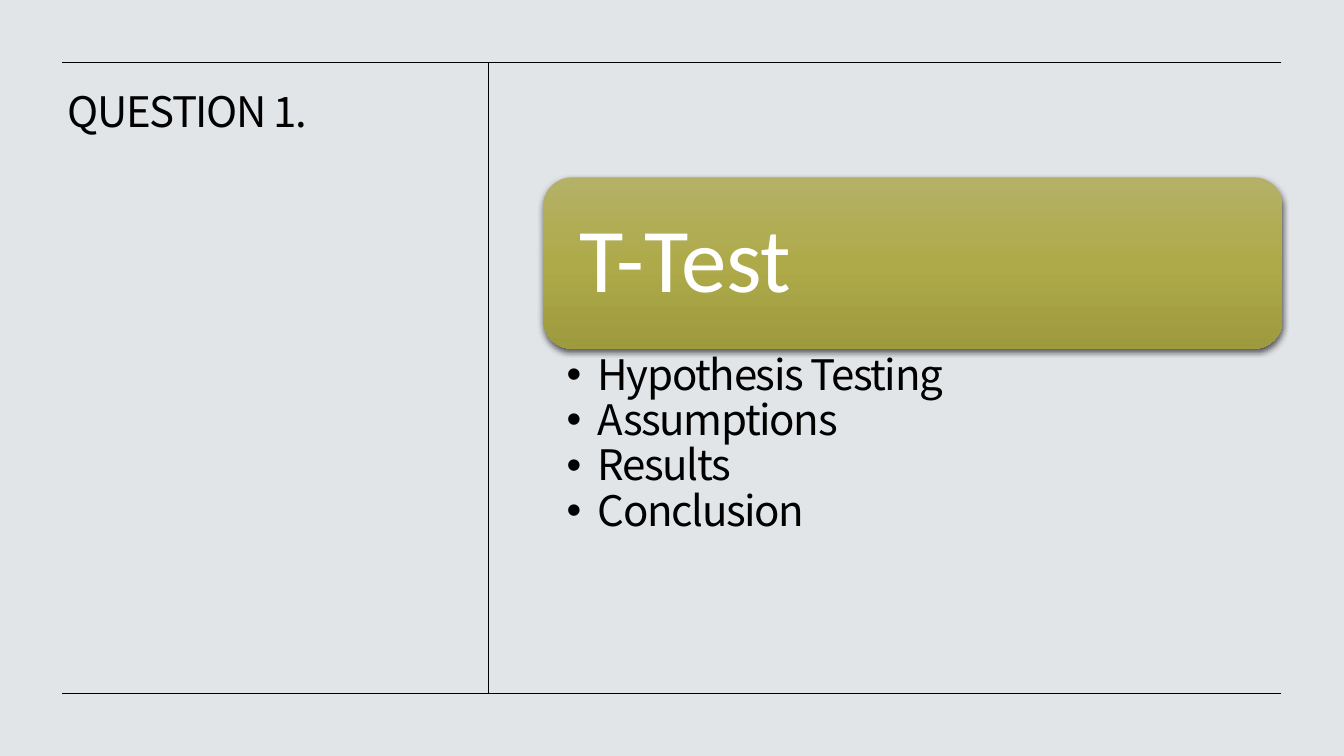
from copy import deepcopy

from lxml import etree
from pptx import Presentation
from pptx.dml.color import RGBColor
from pptx.enum.shapes import MSO_CONNECTOR, MSO_SHAPE
from pptx.enum.text import MSO_ANCHOR
from pptx.oxml.ns import qn
from pptx.util import Inches, Pt

STRAIGHT = MSO_CONNECTOR.STRAIGHT
ROUNDED = MSO_SHAPE.ROUNDED_RECTANGLE
TOP, MIDDLE = MSO_ANCHOR.TOP, MSO_ANCHOR.MIDDLE
BODY_FONT = "Noto Sans CJK KR"
LEFT, RIGHT, UPPER, LOWER, DIVIDER = 0.62, 12.71, 0.62, 6.88, 4.84
TOPICS = ["Hypothesis Testing", "Assumptions", "Results", "Conclusion"]


def color(value):
    """Turn a hex string into a colour."""
    return RGBColor.from_string(value)


def add_rule(slide, start, end):
    """Draw a thin black line between two points."""
    line = slide.shapes.add_connector(STRAIGHT, *map(Inches, start + end))
    line.line.color.rgb = color("000000")
    line.line.width = Pt(0.5)
    etree.SubElement(line._element.spPr, qn("a:effectLst"))


def add_bullet(paragraph, indent):
    """Give a paragraph a hanging round bullet."""
    properties = paragraph._p.get_or_add_pPr()
    properties.set("marL", str(Inches(indent)))
    properties.set("indent", str(-Inches(indent)))
    etree.SubElement(properties, qn("a:buFont"), typeface="Arial")
    etree.SubElement(properties, qn("a:buChar"), char="•")


def add_text(slide, box, lines, size=30, font=BODY_FONT, fill="000000",
             insets=(0.1, 0.05), anchor=TOP, spacing=0, bullet_indent=None):
    """Add a wrapping text box with one paragraph per line."""
    frame = slide.shapes.add_textbox(*map(Inches, box)).text_frame
    frame.word_wrap = True
    frame.vertical_anchor = anchor
    frame.margin_left = frame.margin_right = Inches(insets[0])
    frame.margin_top = frame.margin_bottom = Inches(insets[1])
    for index, text in enumerate(lines):
        paragraph = frame.add_paragraph() if index else frame.paragraphs[0]
        paragraph.line_spacing = 0.9
        paragraph.space_after = Pt(0)
        if bullet_indent:
            add_bullet(paragraph, bullet_indent)
        run = paragraph.add_run()
        run.text = text
        run.font.size = Pt(size)
        run.font.name = font
        run.font.color.rgb = color(fill)
        properties = run._r.get_or_add_rPr()
        properties.set("spc", str(spacing))
        latin = properties.find(qn("a:latin"))
        latin.addnext(etree.Element(qn("a:ea"), typeface=font))


def add_shadow(shape, blur, distance, opacity):
    """Cast a soft black shadow straight down."""
    effects = etree.SubElement(shape._element.spPr, qn("a:effectLst"))
    shadow = etree.SubElement(
        effects, qn("a:outerShdw"), blurRad=str(Pt(blur)), dist=str(Pt(distance)),
        dir="5400000", algn="ctr", rotWithShape="0")
    black = etree.SubElement(shadow, qn("a:srgbClr"), val="000000")
    etree.SubElement(black, qn("a:alpha"), val=str(opacity * 1000))


def add_banner(slide, box, shades):
    """Add a rounded banner with evenly spaced shades from top to bottom."""
    banner = slide.shapes.add_shape(ROUNDED, *map(Inches, box))
    banner.line.fill.background()
    banner.fill.gradient()
    banner.fill.gradient_angle = 270
    stop_list = banner._element.spPr.find(".//" + qn("a:gsLst"))
    while len(stop_list) < len(shades):
        stop_list.append(deepcopy(stop_list[0]))
    for index, (stop, shade) in enumerate(zip(banner.fill.gradient_stops, shades)):
        stop.position = index / (len(shades) - 1)
        stop.color.rgb = color(shade)
    add_shadow(banner, blur=4.5, distance=1.5, opacity=63)


def main():
    """Build and save the slide."""
    presentation = Presentation()
    presentation.slide_width = Inches(13.33)
    presentation.slide_height = Inches(7.5)
    slide = presentation.slides.add_slide(presentation.slide_layouts[6])
    slide.background.fill.solid()
    slide.background.fill.fore_color.rgb = color("E2E5E8")

    add_text(slide, (0.57, 0.86, 3.96, 2.92), ["QUESTION 1."], spacing=-100)
    for height in (UPPER, LOWER):
        add_rule(slide, (RIGHT, height), (LEFT, height))
    add_rule(slide, (DIVIDER, UPPER), (DIVIDER, LOWER))

    add_banner(slide, (5.39, 1.76, 7.33, 1.7), ["B4B167", "AEAA4A", "9E9B3E"])
    add_text(slide, (5.48, 1.84, 7.16, 1.54), ["T-Test"], size=65, font="Calibri",
             fill="FFFFFF", insets=(0.27, 0.27), anchor=MIDDLE)
    add_text(slide, (5.39, 3.47, 7.33, 2.43), TOPICS, insets=(0.23, 0.04),
             spacing=-100, bullet_indent=0.31)
    presentation.save("out.pptx")


if __name__ == "__main__":
    main()
